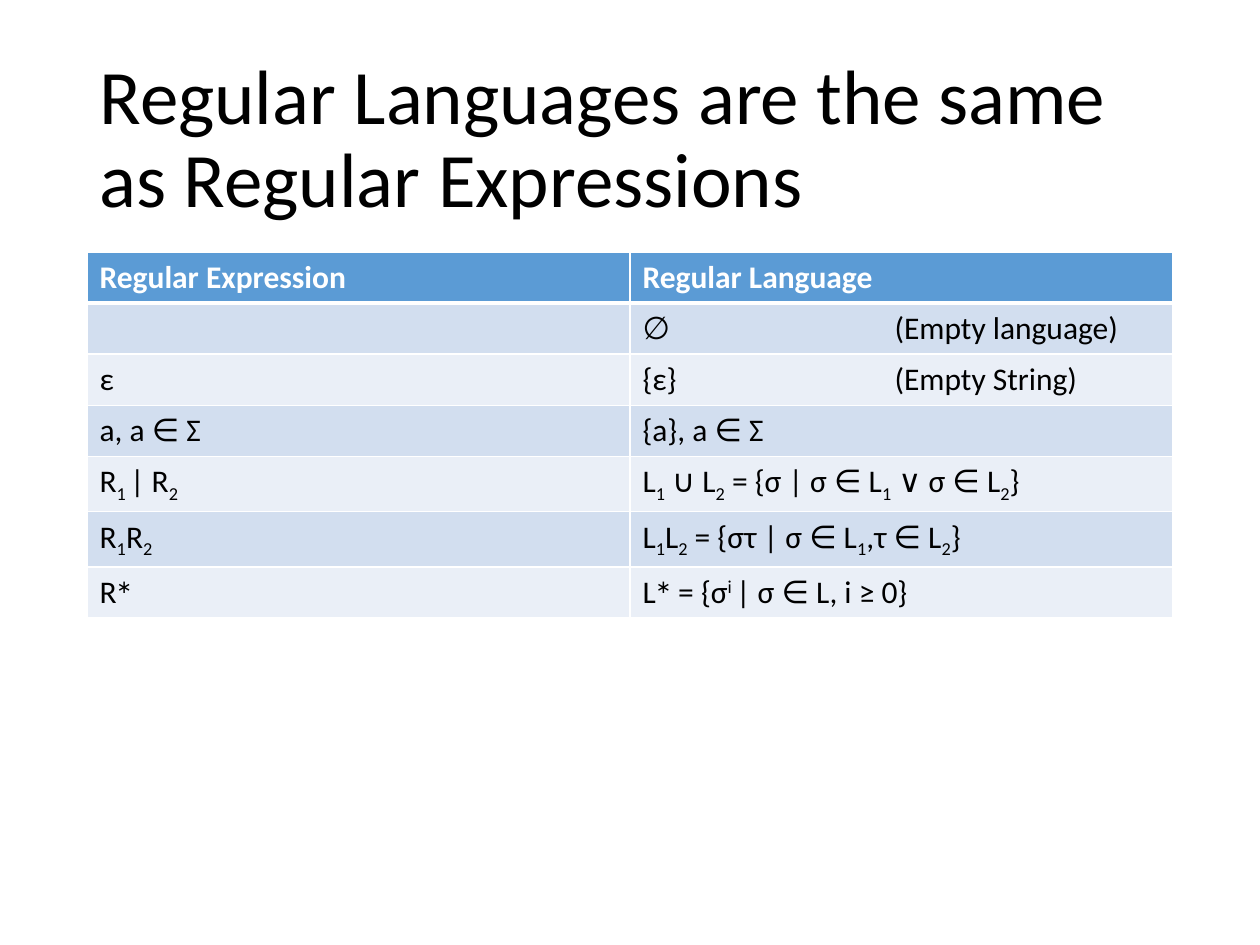
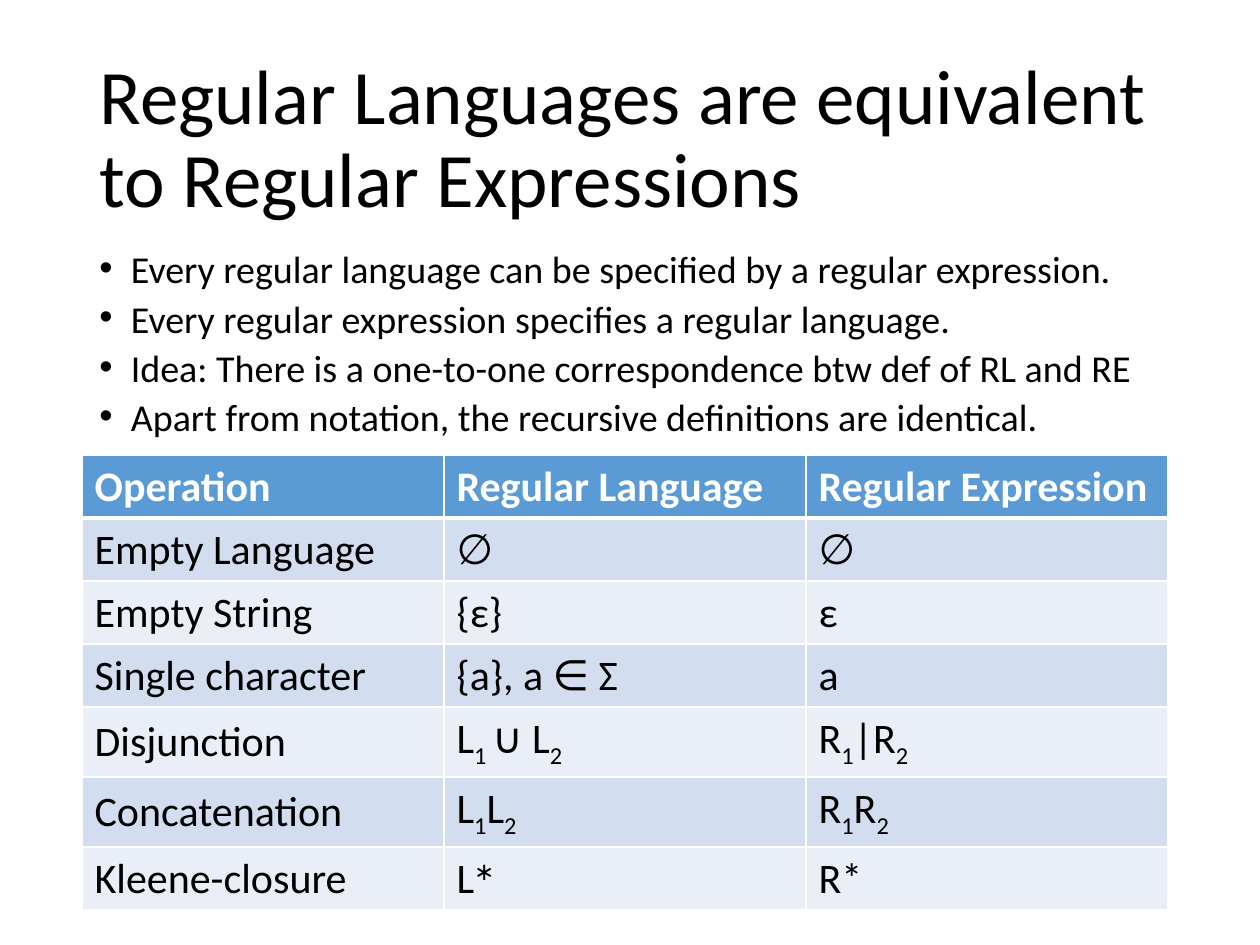
import pptx
import pptx.util
import pptx.dml.color
import pptx.enum.text
import pptx.oxml.ns
from lxml import etree

PX = 914400 // 126
FONT = "Calibri"
COLORS = {
    "text": "000000",
    "white": "FFFFFF",
    "header": "5B9BD5",
    "odd": "D2DEEF",
    "even": "EAEFF7",
}
qn = pptx.oxml.ns.qn
MIDDLE = pptx.enum.text.MSO_ANCHOR.MIDDLE
TOP = pptx.enum.text.MSO_ANCHOR.TOP

SLIDES = [
    {
        "title": "Regular Languages are the same as Regular Expressions",
        "bullets": [],
        "table": {"left": 87, "top": 252, "row": 51, "size": 18, "anchor": TOP},
        "rows": [
            ["Regular Expression", "Regular Language"],
            ["", "∅\t(Empty language)"],
            ["ε", "{ε}\t(Empty String)"],
            ["a, a ∈ Σ", "{a}, a ∈ Σ"],
            ["R_1 _| R_2", "L_1_ ∪ L_2_ = {σ | σ ∈ L_1_ ∨ σ ∈ L_2_}"],
            ["R_1_R_2", "L_1_L_2_ = {στ | σ ∈ L_1_,τ ∈ L_2_}"],
            ["R_^∗", "L_^∗_ = {σ_^i _| σ ∈ L, i ≥ 0}"],
        ],
    },
    {
        "title": "Regular Languages are equivalent to Regular Expressions",
        "bullets": [
            "Every regular language can be specified by a regular expression.",
            "Every regular expression specifies a regular language.",
            "Idea: There is a one-to-one correspondence btw def of RL and RE",
            "Apart from notation, the recursive definitions are identical.",
        ],
        "table": {"left": 82, "top": 455, "row": 63, "size": 24, "anchor": MIDDLE},
        "rows": [
            ["Operation", "Regular Language", "Regular Expression"],
            ["Empty Language", "∅", "∅"],
            ["Empty String", "{ε}", "ε"],
            ["Single character", "{a}, a ∈ Σ", "a"],
            ["Disjunction", "L_1 _∪ L_2", "R_1_|R_2"],
            ["Concatenation", "L_1_L_2", "R_1_R_2"],
            ["Kleene-closure", "L_^∗", "R*"],
        ],
    },
]


def add_spans(para, text, size, color, bold=False):
    for index, piece in enumerate(text.split("_")):
        if not piece:
            continue
        span = para.add_run()
        span.text = piece.lstrip("^")
        span.font.name = FONT
        span.font.size = pptx.util.Pt(size)
        span.font.bold = bold
        span.font.color.rgb = pptx.dml.color.RGBColor.from_string(COLORS[color])
        if index % 2:
            baseline = "30000" if piece.startswith("^") else "-25000"
            span.font._element.set("baseline", baseline)


def add_border(cell, side, points):
    line = etree.SubElement(cell._tc.get_or_add_tcPr(), qn("a:ln" + side))
    line.set("w", str(pptx.util.Pt(points)))
    fill = etree.SubElement(line, qn("a:solidFill"))
    etree.SubElement(fill, qn("a:srgbClr")).set("val", COLORS["white"])


deck = pptx.Presentation()
deck.slide_width = 1260 * PX
deck.slide_height = 945 * PX

for content in SLIDES:
    page = deck.slides.add_slide(deck.slide_layouts[5])

    title = page.shapes.title
    title.left, title.top, title.width, title.height = (
        length * PX for length in (87, 50, 1086, 183)
    )
    title.text_frame.word_wrap = True
    title.text_frame.auto_size = pptx.enum.text.MSO_AUTO_SIZE.NONE
    title.text_frame.vertical_anchor = MIDDLE
    para = title.text_frame.paragraphs[0]
    para.alignment = pptx.enum.text.PP_ALIGN.LEFT
    para.line_spacing = 0.9
    add_spans(para, content["title"], 44, "text")

    if content["bullets"]:
        box = page.shapes.add_textbox(87 * PX, 252 * PX, 1086 * PX, 218 * PX)
        box.text_frame.word_wrap = True
        for index, bullet in enumerate(content["bullets"]):
            para = box.text_frame.add_paragraph() if index else box.text_frame.paragraphs[0]
            para.line_spacing = 0.7
            para.space_before = pptx.util.Pt(10)
            properties = para._p.get_or_add_pPr()
            properties.set("marL", str(pptx.util.Inches(0.25)))
            properties.set("indent", str(pptx.util.Inches(-0.25)))
            etree.SubElement(properties, qn("a:buFont")).set("typeface", "Arial")
            etree.SubElement(properties, qn("a:buChar")).set("char", "•")
            add_spans(para, bullet, 21.7, "text")

    rows, layout = content["rows"], content["table"]
    table = page.shapes.add_table(
        len(rows), len(rows[0]),
        layout["left"] * PX, layout["top"] * PX,
        1086 * PX, layout["row"] * len(rows) * PX,
    ).table
    table.horz_banding = False
    for r, row in enumerate(rows):
        shade = "header" if r == 0 else "odd" if r % 2 else "even"
        for c, text in enumerate(row):
            cell = table.cell(r, c)
            cell.vertical_anchor = layout["anchor"]
            add_border(cell, "L", 1)
            add_border(cell, "R", 1)
            add_border(cell, "T", 3 if r == 1 else 1)
            add_border(cell, "B", 3 if r == 0 else 1)
            cell.fill.solid()
            cell.fill.fore_color.rgb = pptx.dml.color.RGBColor.from_string(COLORS[shade])
            para = cell.text_frame.paragraphs[0]
            if "\t" in text:
                stops = etree.SubElement(para._p.get_or_add_pPr(), qn("a:tabLst"))
                stop = etree.SubElement(stops, qn("a:tab"))
                stop.set("pos", str(pptx.util.Inches(2)))
                stop.set("algn", "l")
            add_spans(para, text, layout["size"], "text" if r else "white", r == 0)

deck.save("out.pptx")
